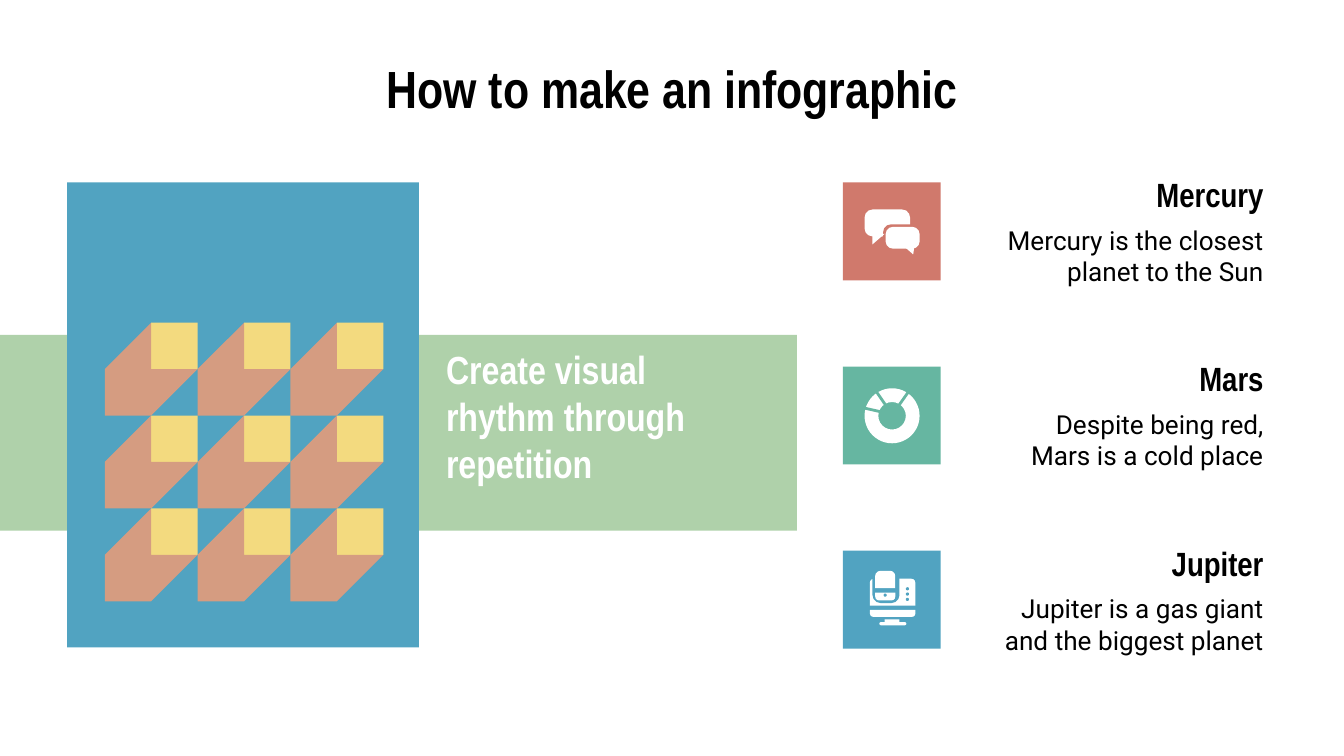
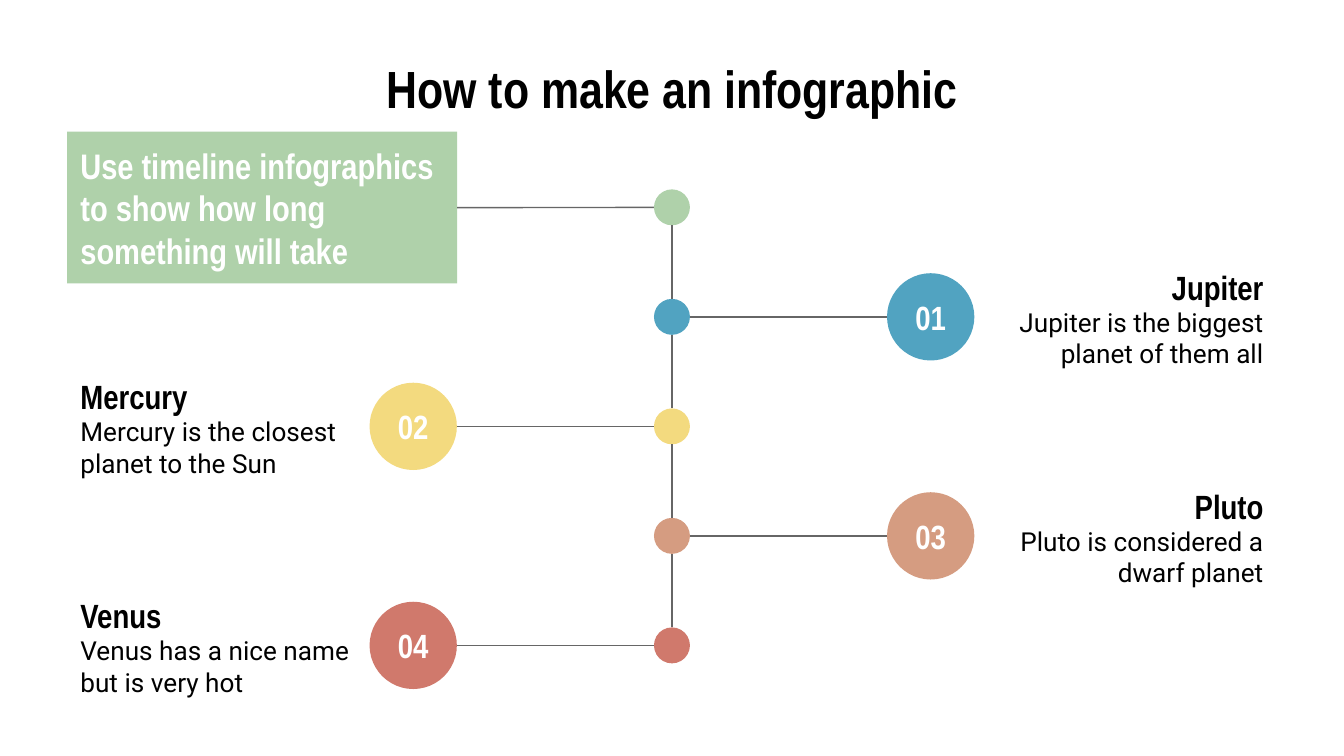
from lxml import etree
from pptx import Presentation
from pptx.dml.color import RGBColor
from pptx.enum.shapes import MSO_CONNECTOR, MSO_SHAPE
from pptx.enum.text import MSO_ANCHOR, PP_ALIGN
from pptx.oxml.ns import qn
from pptx.util import Cm, Pt

RECT, OVAL = MSO_SHAPE.RECTANGLE, MSO_SHAPE.OVAL
ROUND, DOME = MSO_SHAPE.ROUNDED_RECTANGLE, MSO_SHAPE.ROUND_2_SAME_RECTANGLE
DONUT, STRAIGHT = MSO_SHAPE.DONUT, MSO_CONNECTOR.STRAIGHT
LEFT, MID, RIGHT = PP_ALIGN.LEFT, PP_ALIGN.CENTER, PP_ALIGN.RIGHT
CENTRE = MSO_ANCHOR.MIDDLE

BLACK, WHITE, GREY = "000000", "FFFFFF", "666666"
RED, TEAL, BLUE = "D0796C", "66B6A1", "51A3C1"
GREEN, YELLOW, TAN = "AFD1AA", "F3DA7F", "D59C81"
HEAD, BODY = "Arial Narrow", "Roboto"

TITLE = "How to make an infographic"
RHYTHM = "Create visual rhythm through repetition"
TIMING = "Use timeline infographics to show how long something will take"

PLANETS = [
    ("Mercury", "Mercury is the closest planet to the Sun", RED),
    ("Mars", "Despite being red, Mars is a cold place", TEAL),
    ("Jupiter", "Jupiter is a gas giant and the biggest planet", BLUE),
]
STEPS = [
    ("01", "Jupiter", "Jupiter is the biggest planet of them all", BLUE),
    ("02", "Mercury", "Mercury is the closest planet to the Sun", YELLOW),
    ("03", "Pluto", "Pluto is considered a dwarf planet", TAN),
    ("04", "Venus", "Venus has a nice name but is very hot", RED),
]

# Icon parts, measured from the tile's corner:
# preset, white or tile colour, box, first adjustment, turn
CHAT = [
    (ROUND, True, (0.41, 0.51, 0.86, 0.51), 0.3, 0),
    (ROUND, False, (0.76, 0.79, 0.74, 0.51), 0.3, 0),
    (ROUND, True, (0.81, 0.84, 0.64, 0.41), 0.32, 0),
]
TAILS = [
    [(0.56, 0.97), (0.56, 1.17), (0.79, 0.97)],
    [(1.17, 1.22), (1.33, 1.36), (1.35, 1.22)],
]
RING = [(DONUT, True, (0.41, 0.41, 1.04, 1.04), 0.25, 0)]
CUTS = [
    (0.81, 0.73, 0.61, 0.44),
    (1.06, 0.73, 1.25, 0.46),
    (0.7, 0.85, 0.39, 0.78),
]
SCREEN = [
    (DOME, True, (0.51, 0.53, 0.86, 0.51), 0.15, 0),
    (ROUND, False, (0.56, 0.38, 0.51, 0.61), 0.3, 0),
    (DOME, True, (0.61, 0.38, 0.38, 0.33), 0.3, 0),
    (DOME, True, (0.61, 0.79, 0.38, 0.15), 0.5, 180),
    (DOME, True, (0.51, 1.12, 0.86, 0.13), 0.5, 180),
    (RECT, True, (0.79, 1.3, 0.28, 0.06), None, 0),
    (ROUND, True, (0.69, 1.35, 0.51, 0.06), 0.5, 0),
    (OVAL, False, (0.77, 0.81, 0.06, 0.06), None, 0),
] + [(OVAL, False, (1.19, y, 0.06, 0.06), None, 0) for y in (0.69, 0.79, 0.89)]

WIDE, HIGH = 25.4, 14.29
EDGE = 1.27
PAD = 0.25


def rgb(code):
    return RGBColor.from_string(code)


def paint(item, color):
    item.shadow.inherit = False
    item.fill.solid()
    item.fill.fore_color.rgb = rgb(color)
    item.line.fill.background()
    return item


def shape(slide, kind, box, color):
    return paint(slide.shapes.add_shape(kind, *map(Cm, box)), color)


def outline(slide, points, color):
    """Draw a filled polygon through points given in cm."""
    spots = [(Cm(x), Cm(y)) for x, y in points]
    form = slide.shapes.build_freeform(*spots[0])
    form.add_line_segments(spots[1:], close=True)
    return paint(form.convert_to_shape(), color)


def line(slide, ends, color=GREY, width=0.75):
    link = slide.shapes.add_connector(STRAIGHT, *map(Cm, ends))
    link.line.color.rgb = rgb(color)
    link.line.width = Pt(width)
    etree.SubElement(link._element.spPr, qn("a:effectLst"))
    return link


def write(item, words, size, color=BLACK, align=LEFT, font=HEAD):
    frame = item.text_frame
    frame.word_wrap = True
    frame.vertical_anchor = CENTRE
    frame.margin_left = frame.margin_right = Cm(PAD)
    frame.margin_top = frame.margin_bottom = Cm(PAD)
    para = frame.paragraphs[0]
    para.alignment = align
    run = para.add_run()
    run.text = words
    run.font.name = font
    run.font.size = Pt(size)
    run.font.bold = font == HEAD
    run.font.color.rgb = rgb(color)


def label(slide, box, *args, **style):
    write(slide.shapes.add_textbox(*map(Cm, box)), *args, **style)


def pair(slide, left, width, head, body, align):
    """Set a planet's name above its text; head and body: words, top, height."""
    for (words, top, high), size, font in ((head, 18, HEAD), (body, 14, BODY)):
        label(slide, (left, top, width, high), words, size, align=align, font=font)


def start(deck):
    slide = deck.slides.add_slide(deck.slide_layouts[6])
    label(slide, (EDGE, 1.14, WIDE - 2 * EDGE, 1.04), TITLE, 28, align=MID)
    return slide


def icon(slide, parts, left, top, tile):
    for kind, white, (x, y, w, h), bend, turn in parts:
        part = shape(slide, kind, (left + x, top + y, w, h), WHITE if white else tile)
        part.rotation = turn
        if bend is not None:
            part.adjustments[0] = bend


def blocks(slide, left, top, step):
    """Repeat a yellow square with its tan side, three by three."""
    half = step / 2
    for row in range(3):
        for col in range(3):
            x, y = left + col * step, top + row * step
            shape(slide, RECT, (x + half, y, half, half), YELLOW)
            outline(slide, [
                (x + half, y), (x, y + half), (x, y + step),
                (x + half, y + step), (x + step, y + half),
                (x + half, y + half),
            ], TAN)


def rhythm(deck):
    slide = start(deck)
    shape(slide, RECT, (0, 6.33, 15.06, 3.7), GREEN)
    shape(slide, RECT, (EDGE, 3.45, 6.65, 8.79), BLUE)
    blocks(slide, 1.98, 6.1, 1.755)
    label(slide, (8.18, 6.55, 6.48, 2.62), RHYTHM, 21, WHITE)

    left, side = 15.93, 1.85
    for i, (name, note, color) in enumerate(PLANETS):
        top = 3.45 + 3.48 * i
        shape(slide, RECT, (left, top, side, side), color)
        icon(slide, (CHAT, RING, SCREEN)[i], left, top, color)
        if i == 0:
            for tail in TAILS:
                outline(slide, [(left + x, top + y) for x, y in tail], WHITE)
        elif i == 1:
            for x, y, u, v in CUTS:
                line(slide, (left + x, top + y, left + u, top + v), color, 1.5)
        pair(slide, 18.64, 5.49, (name, top - 0.23, 0.91),
             (note, top + 0.71, 1.35), RIGHT)


def timeline(deck):
    slide = start(deck)
    axis, first, gap = WIDE / 2, 3.92, 2.07
    dot, disc, reach, width = 0.68, 1.65, 4.89, 5.72
    inner = reach - disc / 2

    call = shape(slide, RECT, (EDGE, 2.49, 7.37, 2.87), GREEN)
    write(call, TIMING, 19, WHITE)
    line(slide, (8.64, first, axis - dot / 2, first)).begin_connect(call, 3)

    for i, color in enumerate([GREEN] + [step[-1] for step in STEPS]):
        y = first + gap * i
        shape(slide, OVAL, (axis - dot / 2, y - dot / 2, dot, dot), color)
        if i:
            line(slide, (axis, y - gap + dot / 2, axis, y - dot / 2))

    for i, (num, name, note, color) in enumerate(STEPS):
        y = first + gap * (i + 1)
        right = i % 2 == 0
        sign = 1 if right else -1
        x = axis + sign * reach
        ball = shape(slide, OVAL, (x - disc / 2, y - disc / 2, disc, disc), color)
        write(ball, num, 18, WHITE, MID)
        line(slide, (axis + sign * inner, y, axis + sign * dot / 2, y))
        pair(slide, WIDE - EDGE - width if right else EDGE, width,
             (name, y - 0.95, 0.76), (note, y - 0.17, 1.12),
             RIGHT if right else LEFT)


def main():
    deck = Presentation()
    deck.slide_width, deck.slide_height = Cm(WIDE), Cm(HIGH)
    rhythm(deck)
    timeline(deck)
    deck.save("out.pptx")


if __name__ == "__main__":
    main()
